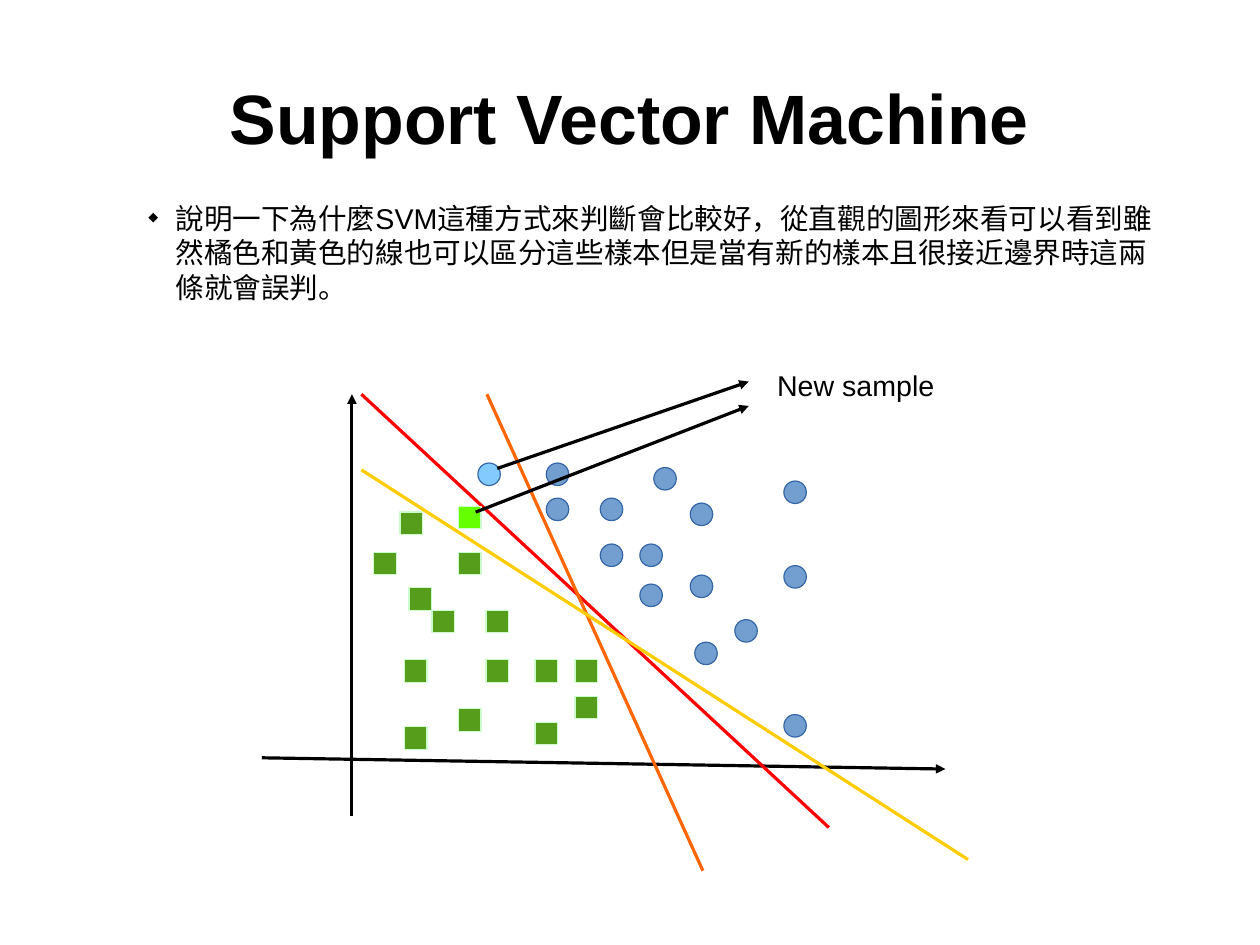
from pptx import Presentation
from pptx.util import Cm, Pt
from pptx.dml.color import RGBColor
from pptx.enum.shapes import MSO_SHAPE as Form, MSO_CONNECTOR as Link
from pptx.enum.text import PP_ALIGN as Align, MSO_ANCHOR as Anchor
from pptx.oxml.ns import qn
from lxml.etree import SubElement as Sub

BLACK = RGBColor(0x00, 0x00, 0x00)
BLUE = RGBColor(0x72, 0x9F, 0xCF)
SKY = RGBColor(0x83, 0xCA, 0xFF)
NAVY = RGBColor(0x34, 0x65, 0xA4)
GREEN = RGBColor(0x57, 0x9D, 0x1C)
LIME = RGBColor(0x66, 0xFF, 0x00)
MINT = RGBColor(0xCC, 0xFF, 0xCC)
RED = RGBColor(0xFF, 0x00, 0x00)
ORANGE = RGBColor(0xFF, 0x66, 0x00)
YELLOW = RGBColor(0xFF, 0xCC, 0x00)

# Content, lengths in cm
TITLE = "Support Vector Machine"
BODY = ("說明一下為什麼SVM這種方式來判斷會比較好，從直觀的圖形來看可以看到"
        "雖然橘色和黃色的線也可以區分這些樣本但是當有新的樣本且很接近邊界時"
        "這兩條就會誤判。")
LABEL = "New sample"
SIDE = 0.5  # size of one sample mark

DOTS = [(12.14, 10.29), (12.14, 11.07), (13.34, 11.07), (13.34, 12.09),
        (14.22, 12.09), (14.22, 12.98), (14.53, 10.39), (15.34, 11.18),
        (15.34, 12.78), (16.33, 13.77), (15.44, 14.27), (17.42, 10.69),
        (17.42, 12.57), (17.42, 15.88)]
BOXES = [(9.09, 13.06), (9.6, 13.56), (10.8, 13.56), (10.8, 14.66),
         (12.78, 14.66), (12.78, 15.47), (11.89, 14.66), (11.89, 16.05),
         (8.99, 14.66), (8.99, 16.15), (10.19, 15.75), (10.19, 12.27),
         (8.31, 12.27), (8.89, 11.38)]
NEW_DOT = [(10.62, 10.29)]
NEW_BOX = [(10.19, 11.25)]

# Lines: x1, y1, x2, y2, colour
AXES = [(5.82, 16.84, 21.01, 17.09, BLACK), (7.82, 18.14, 7.82, 8.76, BLACK)]
SPLITS = [(8.03, 8.76, 18.42, 18.39, RED),
          (10.82, 8.76, 15.62, 19.35, ORANGE),
          (8.03, 10.44, 21.51, 19.1, YELLOW)]
HINTS = [(11.05, 10.41, 16.64, 8.48, BLACK),
         (10.57, 11.38, 16.64, 9.02, BLACK)]

deck = Presentation()
deck.slide_width, deck.slide_height = Cm(28), Cm(21)
slide = deck.slides.add_slide(deck.slide_layouts[5])
shapes = slide.shapes


def write(box, text, size, bold=False):
    para = box.text_frame.paragraphs[0]
    para.text = text
    style = {"size": Pt(size), "bold": bold, "name": "Arial"}
    for key, value in style.items():
        setattr(para.runs[0].font, key, value)
    para.runs[0].font.color.rgb = BLACK
    return para


def add_text(left, top, width, height, text):
    box = shapes.add_textbox(Cm(left), Cm(top), Cm(width), Cm(height))
    box.text_frame.word_wrap = True
    return write(box, text, 18)


def add_marks(spots, form, fill, edge):
    for x, y in spots:
        mark = shapes.add_shape(form, Cm(x), Cm(y), Cm(SIDE), Cm(SIDE))
        mark.shadow.inherit = False
        mark.fill.solid()
        mark.fill.fore_color.rgb = fill
        mark.line.color.rgb = edge
        mark.line.width = Pt(0)


def add_lines(lines, arrow=False):
    for *ends, color in lines:
        link = shapes.add_connector(Link.STRAIGHT, *map(Cm, ends))
        link.line.color.rgb = color
        link.line.width = Pt(0)
        if arrow:
            Sub(link.line._get_or_add_ln(), qn("a:tailEnd"), type="triangle")
        Sub(link._element.spPr, qn("a:effectLst"))


# Title
title = shapes.title
place = {"left": 1.4, "top": 0.84, "width": 25.2, "height": 3.51}
for key, value in place.items():
    setattr(title, key, Cm(value))
frame = title.text_frame
for side in ("left", "top", "right", "bottom"):
    setattr(frame, "margin_" + side, 0)
frame.vertical_anchor = Anchor.MIDDLE
write(title, TITLE, 44, True).alignment = Align.CENTER

# Bulleted text
props = add_text(3.05, 4.34, 22.99, 3, BODY)._p.get_or_add_pPr()
props.set("marL", str(Cm(0.6)))
props.set("indent", str(Cm(-0.6)))
Sub(Sub(props, qn("a:buClr")), qn("a:srgbClr"), val=str(BLACK))
Sub(props, qn("a:buSzPct"), val="45000")
Sub(props, qn("a:buChar"), char="◆")

# Plot, from back to front
add_lines(AXES, arrow=True)
add_marks(DOTS, Form.OVAL, BLUE, NAVY)
add_marks(BOXES, Form.RECTANGLE, GREEN, MINT)
add_lines(SPLITS)
add_marks(NEW_BOX, Form.RECTANGLE, LIME, MINT)
add_marks(NEW_DOT, Form.OVAL, SKY, NAVY)
add_lines(HINTS, arrow=True)
add_text(17.02, 8.05, 5.03, 1.22, LABEL)

deck.save("out.pptx")
